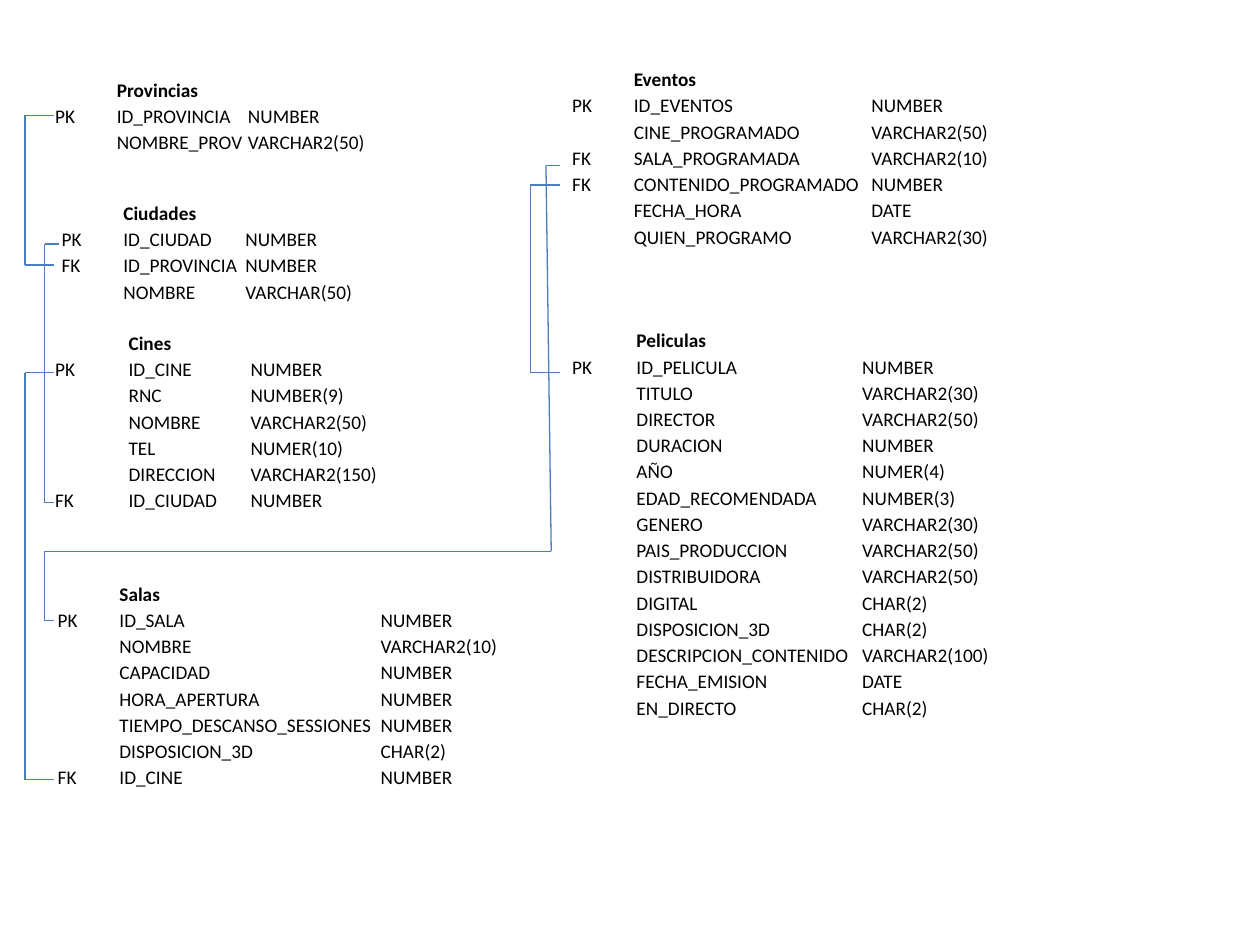
"""Builds a slide with the tables of a cinema database and the key links between them."""
from itertools import pairwise

from lxml import etree
from pptx import Presentation
from pptx import util as u
from pptx.dml.color import RGBColor
from pptx.enum import shapes, text
from pptx.oxml.ns import qn

PX = 9525
ROW_HEIGHT = 20
NO_STYLE = "{2D5ABB26-0587-4C30-8999-92F81FD0307C}"


def color(hex_string):
    return RGBColor.from_string(hex_string)


entities = [
    ("Provincias", 41, 58, (47, 100, 100), [
        ("PK", "ID_PROVINCIA", "NUMBER"),
        ("", "NOMBRE_PROV", "VARCHAR2(50)"),
    ]),
    ("Ciudades", 46, 152, (47, 93, 93), [
        ("PK", "ID_CIUDAD", "NUMBER"),
        ("FK", "ID_PROVINCIA", "NUMBER"),
        ("", "NOMBRE", "VARCHAR(50)"),
    ]),
    ("Cines", 41, 251, (56, 93, 116), [
        ("PK", "ID_CINE", "NUMBER"),
        ("", "RNC", "NUMBER(9)"),
        ("", "NOMBRE", "VARCHAR2(50)"),
        ("", "TEL", "NUMER(10)"),
        ("", "DIRECCION", "VARCHAR2(150)"),
        ("FK", "ID_CIUDAD", "NUMBER"),
    ]),
    ("Salas", 43, 442, (47, 199, 199), [
        ("PK", "ID_SALA", "NUMBER"),
        ("", "NOMBRE", "VARCHAR2(10)"),
        ("", "CAPACIDAD", "NUMBER"),
        ("", "HORA_APERTURA", "NUMBER"),
        ("", "TIEMPO_DESCANSO_SESSIONES", "NUMBER"),
        ("", "DISPOSICION_3D", "CHAR(2)"),
        ("FK", "ID_CINE", "NUMBER"),
    ]),
    ("Eventos", 435, 50, (47, 181, 181), [
        ("PK", "ID_EVENTOS", "NUMBER"),
        ("", "CINE_PROGRAMADO", "VARCHAR2(50)"),
        ("FK", "SALA_PROGRAMADA", "VARCHAR2(10)"),
        ("FK", "CONTENIDO_PROGRAMADO", "NUMBER"),
        ("", "FECHA_HORA", "DATE"),
        ("", "QUIEN_PROGRAMO", "VARCHAR2(30)"),
    ]),
    ("Peliculas", 435, 249, (49, 172, 172), [
        ("PK", "ID_PELICULA", "NUMBER"),
        ("", "TITULO", "VARCHAR2(30)"),
        ("", "DIRECTOR", "VARCHAR2(50)"),
        ("", "DURACION", "NUMBER"),
        ("", "AÑO", "NUMER(4)"),
        ("", "EDAD_RECOMENDADA", "NUMBER(3)"),
        ("", "GENERO", "VARCHAR2(30)"),
        ("", "PAIS_PRODUCCION", "VARCHAR2(50)"),
        ("", "DISTRIBUIDORA", "VARCHAR2(50)"),
        ("", "DIGITAL", "CHAR(2)"),
        ("", "DISPOSICION_3D", "CHAR(2)"),
        ("", "DESCRIPCION_CONTENIDO", "VARCHAR2(100)"),
        ("", "FECHA_EMISION", "DATE"),
        ("", "EN_DIRECTO", "CHAR(2)"),
    ]),
]

key_links = [
    [(41, 202), (19, 202), (19, 88), (41, 88)],
    [(45, 186), (34, 186), (34, 383), (41, 383)],
    [(41, 284), (19, 284), (19, 594), (41, 594)],
    [(427, 141), (404, 141), (404, 284), (427, 284)],
    [(427, 126), (416, 126), (420, 420), (34, 420), (34, 473), (41, 473)],
]

deck = Presentation()
deck.slide_width = 960 * PX
deck.slide_height = 720 * PX
page = deck.slides.add_slide(deck.slide_layouts[6])

for name, left, top, widths, fields in entities:
    rows = [("", name, "")] + fields
    frame = page.shapes.add_table(
        len(rows), len(widths), left * PX, top * PX,
        sum(widths) * PX, len(rows) * ROW_HEIGHT * PX)
    table = frame.table
    table.first_row = False
    table.horz_banding = False
    table._tbl.tblPr.find(qn("a:tableStyleId")).text = NO_STYLE
    for column, width in zip(table.columns, widths):
        column.width = width * PX
    for row_index, row in enumerate(rows):
        table.rows[row_index].height = ROW_HEIGHT * PX
        for column_index, value in enumerate(row):
            cell = table.cell(row_index, column_index)
            cell.fill.background()
            cell.margin_left = cell.margin_right = cell.margin_top = PX
            cell.margin_bottom = 0
            cell.vertical_anchor = text.MSO_ANCHOR.BOTTOM
            para = cell.text_frame.paragraphs[0]
            if not value:
                etree.SubElement(para._p, qn("a:endParaRPr"), sz="1100")
                continue
            span = para.add_run()
            span.text = value
            span.font.name = "Calibri"
            span.font.size = u.Pt(11)
            span.font.bold = row_index == 0
            span.font.color.rgb = color("000000")

for points in key_links:
    for (x1, y1), (x2, y2) in pairwise(points):
        link = page.shapes.add_connector(
            shapes.MSO_CONNECTOR.STRAIGHT, x1 * PX, y1 * PX, x2 * PX, y2 * PX)
        link.line.color.rgb = color("4B7EBC")
        link.line.width = u.Pt(0.75)
        etree.SubElement(link._element.spPr, qn("a:effectLst"))

deck.save("out.pptx")
